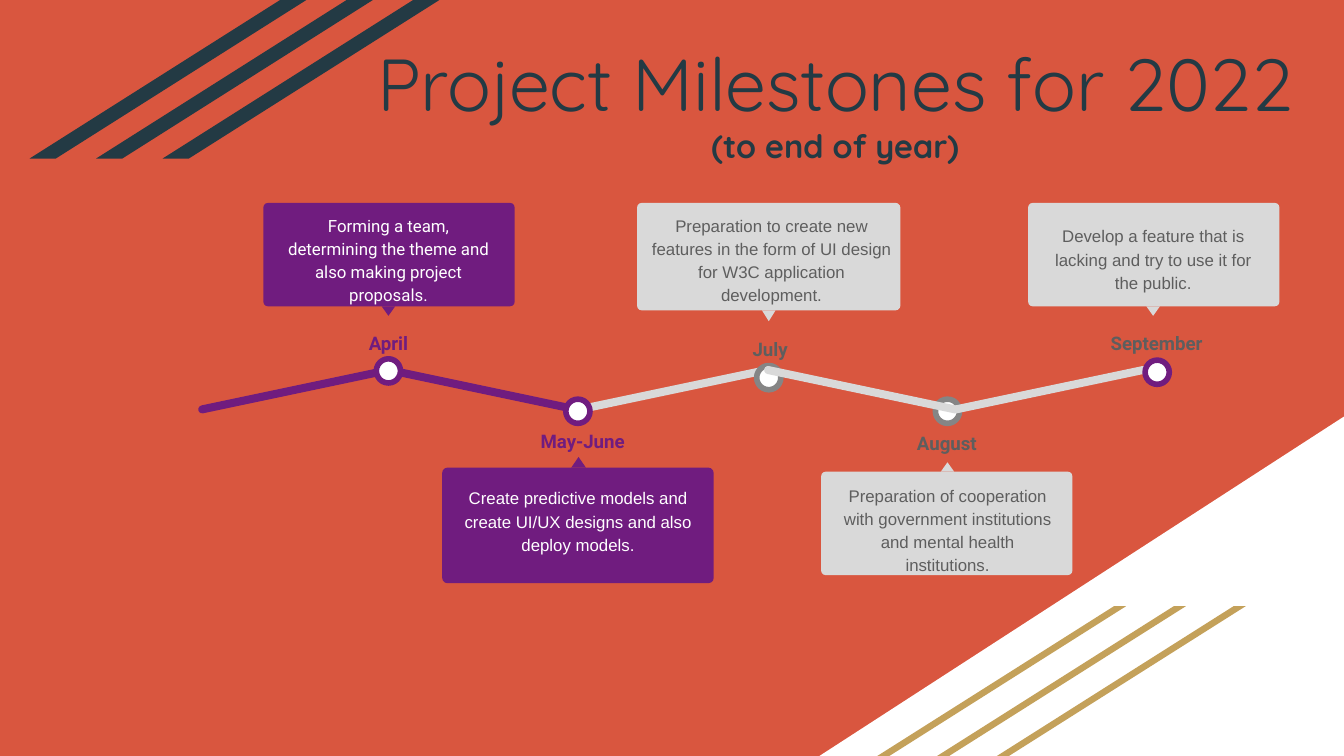
from pptx import Presentation
from pptx.dml.color import RGBColor
from pptx.enum.shapes import MSO_SHAPE as SHAPE
from pptx.enum.text import MSO_ANCHOR, PP_ALIGN
from pptx.oxml.ns import qn
from pptx.util import Inches, Pt

COLORS = {
    "background": "D9563F", "white": "FFFFFF", "gold": "C4A15A", "navy": "233A44",
    "purple": "701C7F", "light": "D9D9D9", "ring": "858585", "gray": "5E5E5E",
}

prs = Presentation()
prs.slide_width, prs.slide_height = Inches(10), Inches(10 * 9 / 16)
slide = prs.slides.add_slide(prs.slide_layouts[6])
slide.background.fill.solid()
slide.background.fill.fore_color.rgb = RGBColor.from_string(COLORS["background"])


def add_shape(kind, box, color, adjust=None, rotation=0, ring=None):
    shape = slide.shapes.add_shape(kind, *map(Inches, box))
    shape.shadow.inherit = False
    shape.fill.solid()
    shape.fill.fore_color.rgb = RGBColor.from_string(COLORS[color])
    if ring:
        shape.line.color.rgb = RGBColor.from_string(COLORS[ring])
        shape.line.width = Pt(3)
    else:
        shape.line.fill.background()
    if adjust is not None:
        shape.adjustments[0] = adjust
    shape.rotation = rotation
    return shape


def add_text(box, lines, color, font, spacing=1.15, after=16):
    """Add a centred text box; lines holds (text, size, bold) for each paragraph."""
    frame = slide.shapes.add_textbox(*map(Inches, box)).text_frame
    frame.word_wrap = True
    frame.margin_left = frame.margin_right = Inches(0.1)
    frame.margin_top = frame.margin_bottom = Inches(0.1)
    frame.text = "\n".join(text for text, _, _ in lines)
    for paragraph, (_, size, bold) in zip(frame.paragraphs, lines):
        paragraph.alignment = PP_ALIGN.CENTER
        paragraph.line_spacing = spacing
        paragraph.space_after = Pt(after)
        run_font = paragraph.runs[0].font
        run_font.name, run_font.size, run_font.bold = font, Pt(size), bold
        run_font.color.rgb = RGBColor.from_string(COLORS[color])
    return frame


# Corner decoration
corner = add_shape(SHAPE.RIGHT_TRIANGLE, (6.09, 3.1, 3.91, 2.53), "white")
corner._element.spPr.find(qn("a:xfrm")).set("flipH", "1")
for left, top, width, height, step, color in [
    (7.41, 4.51, 1.86, 1.12, 0.445, "gold"),
    (1.21, 0, 2.06, 1.18, 0.495, "navy"),
]:
    for i in range(3):
        add_shape(SHAPE.PARALLELOGRAM, (left - i * step, top, width, height), color, 1.58)

title = add_text((2.38, 0, 7.67, 1.51),
                 [("Project Milestones for 2022", 39.4, False), ("(to end of year)", 17.4, True)],
                 "navy", "Quicksand", spacing=1, after=0)
title.vertical_anchor = MSO_ANCHOR.MIDDLE

# Timeline: the last two segments lie over the gray dots, the first three under them
segments = [(1.46, "purple", -11.9), (2.85, "purple", 11.9), (4.27, "light", -11.9),
            (5.67, "light", 11.9), (7.07, "light", -11.9)]
gray_dots = [(5.63, 2.72), (6.96, 2.97)]
purple_dots = [(2.8, 2.67), (4.21, 2.97), (8.52, 2.68)]

for part, dots, ring in [(segments[:3], gray_dots, "ring"),
                         (segments[3:], purple_dots, "purple")]:
    for left, color, rotation in part:
        add_shape(SHAPE.ROUNDED_RECTANGLE, (left, 2.87, 1.48, 0.06), color, 0.5, rotation)
    for left, top in dots:
        add_shape(SHAPE.OVAL, (left, top, 0.18, 0.18), "white", ring=ring)

# Month, month box, card box, pointer box, description box, description, font, done
milestones = [
    ("April", (2.51, 2.35, 0.76, 0.3), (1.96, 1.51, 1.87, 0.77), (2.84, 2.28, 0.1, 0.07),
     (2, 1.48, 1.78, 0.68),
     "Forming a team, determining the theme and also making project proposals.", "Roboto", True),
    ("May-June", (3.23, 3.08, 2.21, 0.34), (3.29, 3.48, 2.02, 0.86), (4.25, 3.4, 0.11, 0.08),
     (3.34, 3.51, 1.92, 0.6),
     "Create predictive models and create UI/UX designs and also deploy models.", "Arial", True),
    ("July", (5.33, 2.39, 0.8, 0.31), (4.74, 1.51, 1.96, 0.8), (5.67, 2.31, 0.1, 0.08),
     (4.73, 1.48, 2.02, 0.8),
     "Preparation to create new features in the form of UI design for W3C application "
     "development.", "Arial", False),
    ("August", (6.54, 3.09, 1.01, 0.3), (6.11, 3.51, 1.87, 0.77), (7, 3.44, 0.1, 0.07),
     (6.14, 3.49, 1.82, 1.17),
     "Preparation of cooperation with government institutions and mental health "
     "institutions.", "Arial", False),
    ("September", (8.1, 2.35, 1.01, 0.3), (7.65, 1.51, 1.87, 0.77), (8.53, 2.28, 0.1, 0.07),
     (7.67, 1.56, 1.82, 0.68),
     "Develop a feature that is lacking and try to use it for the public.", "Arial", False),
]
for month, month_box, card, pointer, text_box, description, font, done in milestones:
    fill, month_color, text_color = (
        ("purple", "purple", "white") if done else ("light", "gray", "gray"))
    above_line = card[1] < 2.87
    add_shape(SHAPE.ROUNDED_RECTANGLE, card, fill, 0.045)
    add_shape(SHAPE.ISOSCELES_TRIANGLE, pointer, fill, rotation=180 if above_line else 0)
    add_text(month_box, [(month, 10, True)], month_color, "Roboto")
    add_text(text_box, [(description, 9, False)], text_color, font)

prs.save("out.pptx")
